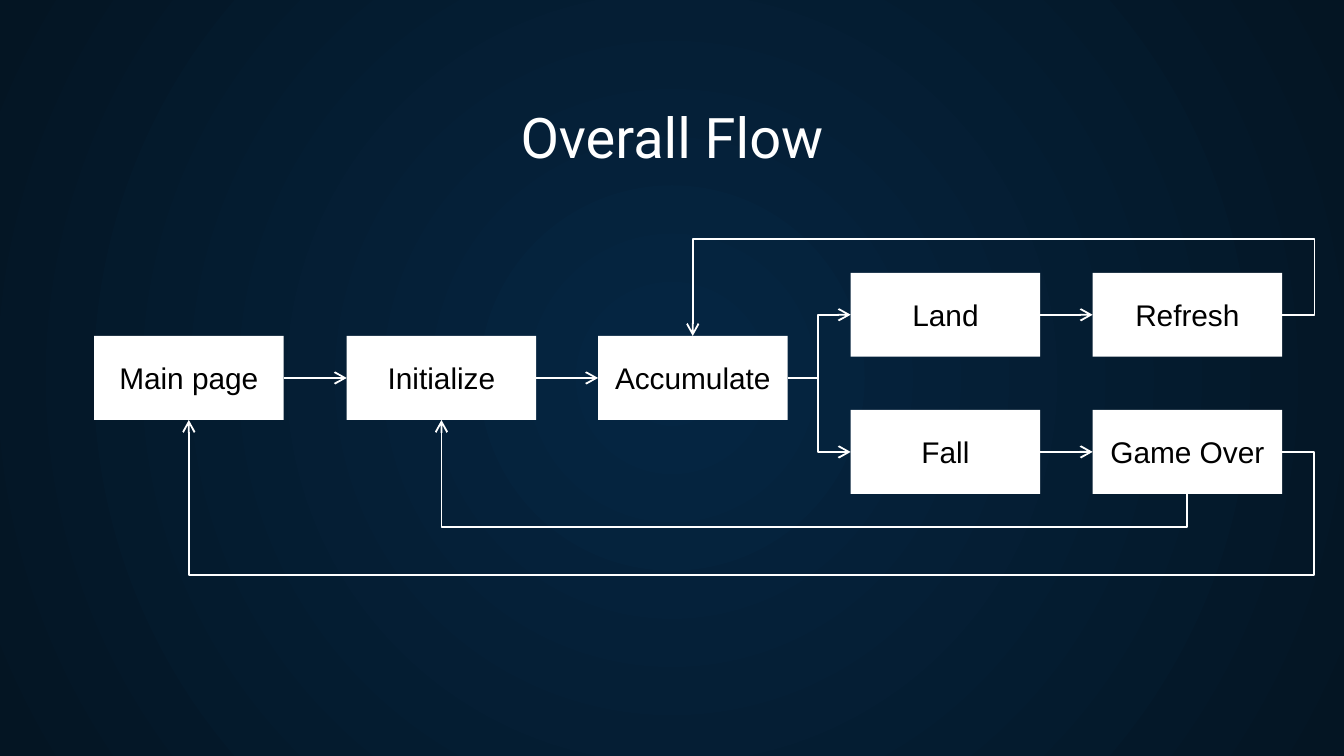
from pptx import Presentation, oxml, util as u
from pptx.dml.color import RGBColor
from pptx.enum import shapes, text
from pptx.oxml import ns

WHITE = RGBColor(0xFF, 0xFF, 0xFF)
BLACK = RGBColor(0, 0, 0)
CENTER_BLUE = RGBColor(0x05, 0x26, 0x43)
EDGE_BLUE = RGBColor(0x04, 0x15, 0x23)

TITLE = "Overall Flow"
BOX_W, BOX_H = 1.41, 0.625
COLUMNS = [0.7, 2.58, 4.45, 6.33, 8.13]
UPPER, MIDDLE, LOWER = 2.03, 2.5, 3.05
TOP, LEFT, BOTTOM, RIGHT = range(4)

# name: (column, top)
STEPS = {
    "Main page": (0, MIDDLE),
    "Initialize": (1, MIDDLE),
    "Accumulate": (2, MIDDLE),
    "Land": (3, UPPER),
    "Refresh": (4, UPPER),
    "Fall": (3, LOWER),
    "Game Over": (4, LOWER),
}
STRAIGHT = [
    ("Main page", "Initialize"),
    ("Initialize", "Accumulate"),
    ("Land", "Refresh"),
    ("Fall", "Game Over"),
]
# from, side, to, side, x of the vertical rail, y of the horizontal rail
BENT = [
    ("Accumulate", RIGHT, "Land", LEFT, 6.09, None),
    ("Accumulate", RIGHT, "Fall", LEFT, 6.09, None),
    ("Refresh", RIGHT, "Accumulate", TOP, 9.78, 1.78),
    ("Game Over", BOTTOM, "Initialize", BOTTOM, None, 3.92),
    ("Game Over", RIGHT, "Main page", BOTTOM, 9.78, 4.28),
]


def site(name, side):
    """Middle of one side of a step's box."""
    column, top = STEPS[name]
    dx, dy = [(0.5, 0), (0, 0.5), (0.5, 1), (1, 0.5)][side]
    return COLUMNS[column] + dx * BOX_W, top + dy * BOX_H


def write(sp, words, size, font, color, anchor):
    tf = sp.text_frame
    tf.word_wrap = True
    tf.vertical_anchor = anchor
    tf.margin_left = tf.margin_right = u.Inches(0.1)
    tf.margin_top = tf.margin_bottom = u.Inches(0.1)
    p = tf.paragraphs[0]
    p.alignment = text.PP_ALIGN.CENTER
    r = p.add_run()
    r.text = words
    r.font.size, r.font.name = u.Pt(size), font
    r.font.color.rgb = color


def add_arrow(s, kind, start, end):
    c = s.shapes.add_connector(kind, *map(u.Inches, (*start, *end)))
    c.line.color.rgb = WHITE
    c.line.width = u.Pt(1)
    oxml.parse_xml  # line ends and effects have no public method
    head = c.line._get_or_add_ln().makeelement(ns.qn("a:tailEnd"), {"type": "arrow"})
    c.line._get_or_add_ln().append(head)
    props = c._element.spPr
    props.append(props.makeelement(ns.qn("a:effectLst"), {}))
    return c


def add_bent(s, start, end, rail_x, rail_y):
    """Elbow arrow that runs along the given rails."""
    (x0, y0), (x1, y1) = start, end
    bends = []
    if rail_x is not None:
        bends.append((rail_x - x0) / (x1 - x0))
    if rail_y is not None:
        bends.append((rail_y - y0) / (y1 - y0))
    leaves_down = rail_x is None
    if leaves_down:  # a quarter turn about the centre
        cx, cy = (x0 + x1) / 2, (y0 + y1) / 2
        start, end = [(cx + y - cy, cy - x + cx) for x, y in (start, end)]
    c = add_arrow(s, shapes.MSO_CONNECTOR.ELBOW, start, end)
    props = c._element.spPr
    if leaves_down:
        props.find(ns.qn("a:xfrm")).set("rot", "5400000")
    geom = props.find(ns.qn("a:prstGeom"))
    geom.set("prst", f"bentConnector{len(bends) + 2}")
    guides = geom.find(ns.qn("a:avLst"))
    for i, bend in enumerate(bends, 1):
        guides.append(guides.makeelement(
            ns.qn("a:gd"), {"name": f"adj{i}", "fmla": f"val {round(bend * 100000)}"}))


def paint_background(s):
    s.background.fill.solid()
    solid = s._element.find(".//" + ns.qn("a:solidFill"))
    stops = "".join(
        f'<a:gs pos="{pos}"><a:srgbClr val="{color}"/></a:gs>'
        for pos, color in [(0, CENTER_BLUE), (100000, EDGE_BLUE)])
    solid.getparent().replace(solid, oxml.parse_xml(
        f'<a:gradFill {ns.nsdecls("a")}><a:gsLst>{stops}</a:gsLst><a:path path="circle">'
        '<a:fillToRect l="50000" t="50000" r="50000" b="50000"/></a:path></a:gradFill>'))


def main():
    prs = Presentation()
    prs.slide_width, prs.slide_height = u.Inches(10), u.Inches(5.625)
    s = prs.slides.add_slide(prs.slide_layouts[6])
    paint_background(s)

    title = s.shapes.add_textbox(*map(u.Inches, (0.34, 0.7, 9.32, 0.66)))
    write(title, TITLE, 30, "Roboto", WHITE, text.MSO_ANCHOR.BOTTOM)

    boxes = {}
    for name, (column, top) in STEPS.items():
        sp = s.shapes.add_shape(shapes.MSO_SHAPE.RECTANGLE, *map(
            u.Inches, (COLUMNS[column], top, BOX_W, BOX_H)))
        sp.shadow.inherit = False
        sp.fill.solid()
        sp.fill.fore_color.rgb = WHITE
        sp.line.fill.background()
        write(sp, name, 16, "Arial", BLACK, text.MSO_ANCHOR.MIDDLE)
        boxes[name] = sp

    for a, b in STRAIGHT:
        c = add_arrow(s, shapes.MSO_CONNECTOR.STRAIGHT, site(a, RIGHT), site(b, LEFT))
        c.begin_connect(boxes[a], RIGHT)
        c.end_connect(boxes[b], LEFT)
    for a, a_side, b, b_side, rail_x, rail_y in BENT:
        add_bent(s, site(a, a_side), site(b, b_side), rail_x, rail_y)

    prs.save("out.pptx")


if __name__ == "__main__":
    main()
